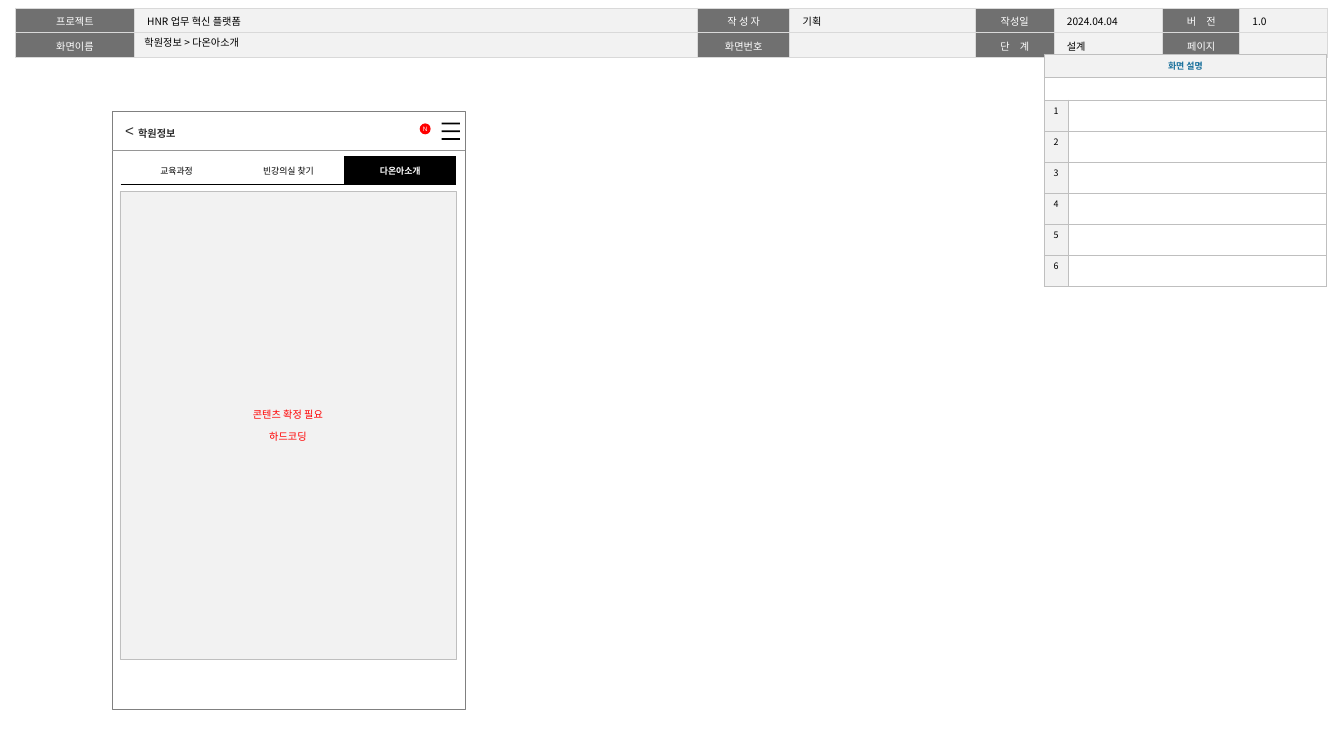
from lxml import etree
from pptx import Presentation
from pptx.dml.color import RGBColor
from pptx.enum.shapes import MSO_CONNECTOR, MSO_SHAPE
from pptx.enum.text import MSO_ANCHOR, PP_ALIGN
from pptx.oxml.ns import qn
from pptx.util import Inches, Pt

LEFT, CENTER = PP_ALIGN.LEFT, PP_ALIGN.CENTER
TOP, MIDDLE = MSO_ANCHOR.TOP, MSO_ANCHOR.MIDDLE
RECT, OVAL = MSO_SHAPE.RECTANGLE, MSO_SHAPE.OVAL
STRAIGHT = MSO_CONNECTOR.STRAIGHT
NOTO, ARIAL = "Noto Sans CJK KR", "Arial"
BLACK, WHITE, PALE, RED = "000000", "FFFFFF", "F2F2F2", "FF0000"
DARK, INK, GRAY = "707070", "2E2E2E", "BFBFBF"


def rgb(value):
    return RGBColor.from_string(value)


def write(tf, lines, size, color, font=NOTO, bold=False, align=LEFT,
          spacing=None, gap=0):
    for i, line in enumerate(lines):
        p = tf.paragraphs[0] if i == 0 else tf.add_paragraph()
        p.alignment = align
        if spacing:
            p.line_spacing = spacing
        if i:
            p.space_before = Pt(gap)
        r = p.add_run()
        r.text = line
        r.font.size, r.font.bold, r.font.name = Pt(size), bold, font
        r.font.color.rgb = rgb(color)
        etree.SubElement(r.font._element, qn("a:ea"), typeface=NOTO)


def set_frame(tf, inset_x, inset_y, anchor=TOP, wrap=True):
    tf.margin_left = tf.margin_right = Inches(inset_x)
    tf.margin_top = tf.margin_bottom = Inches(inset_y)
    tf.vertical_anchor, tf.word_wrap = anchor, wrap


def add_text(s, x, y, w, h, inset_x, text, size, color, anchor=TOP,
             wrap=True, **style):
    tf = s.shapes.add_textbox(Inches(x), Inches(y), Inches(w), Inches(h)).text_frame
    set_frame(tf, inset_x, 0.05, anchor, wrap)
    write(tf, [text], size, color, **style)


def paint(sp, fill=None, line=None, width=0.5):
    sp.shadow.inherit = False
    if fill:
        sp.fill.solid()
        sp.fill.fore_color.rgb = rgb(fill)
    else:
        sp.fill.background()
    if line:
        sp.line.color.rgb = rgb(line)
        sp.line.width = Pt(width)
    else:
        sp.line.fill.background()


def add_box(s, kind, x, y, w, h, fill=None, line=None, width=0.5):
    sp = s.shapes.add_shape(kind, Inches(x), Inches(y), Inches(w), Inches(h))
    paint(sp, fill, line, width)
    return sp


def add_grid(s, x, y, cols, rows):
    frame = s.shapes.add_table(len(rows), len(cols), Inches(x), Inches(y),
                               Inches(sum(cols)), Inches(sum(rows)))
    table = frame.table
    table.first_row = table.horz_banding = False
    for col, w in zip(table.columns, cols):
        col.width = Inches(w)
    for row, h in zip(table.rows, rows):
        row.height = Inches(h)
    return table


def set_cell(cell, text, size, color, fill, border, width, inset,
             anchor=TOP, sides="LRTB", **style):
    tc_pr = cell._tc.get_or_add_tcPr()
    for side in "LRTB":
        ln = etree.SubElement(tc_pr, qn(f"a:ln{side}"), w=str(Pt(width)))
        if side in sides:
            solid = etree.SubElement(ln, qn("a:solidFill"))
            etree.SubElement(solid, qn("a:srgbClr"), val=border)
        else:
            etree.SubElement(ln, qn("a:noFill"))
    cell.fill.solid()
    cell.fill.fore_color.rgb = rgb(fill)
    cell.margin_left = cell.margin_right = Inches(inset)
    cell.vertical_anchor = anchor
    if text:
        write(cell.text_frame, [text], size, color, **style)
    else:
        # Keep empty rows at their small text height
        p = cell.text_frame.paragraphs[0]
        etree.SubElement(p._p, qn("a:endParaRPr"), sz=str(size * 100))


def add_header(s, x, y):
    # Labels and values alternate across the columns
    cols = [1.3, 6.16, 1.01, 2.03, 0.86, 1.19, 0.84, 0.96]
    texts = [
        ["프로젝트", "HNR 업무 혁신 플랫폼", "작 성 자", "기획",
         "작성일", "2024.04.04", "버　전", "1.0"],
        ["화면이름", "", "화면번호", "", "단　계", "설계", "페이지", ""],
    ]
    table = add_grid(s, x, y, cols, [0.24] * 2)
    for i, row in enumerate(texts):
        for j, text in enumerate(row):
            label = j % 2 == 0
            set_cell(table.cell(i, j), text, 8, WHITE if label else BLACK,
                     DARK if label else PALE, "D9D9D9", 1, 0.14,
                     align=CENTER if label else LEFT, spacing=1.05)
    # Screen name
    add_text(s, x + 1.3, y + 0.29, 3.85, 0.16, 0.11, "학원정보 > 다온아소개",
             8, BLACK, anchor=MIDDLE)


def add_description(s, x, y):
    count = 6
    table = add_grid(s, x, y, [0.26, 2.83], [0.25] * 2 + [0.34] * count)
    for i in range(count + 2):
        for j in range(2):
            head, number = i == 0, i > 1 and j == 0
            text = "화면 설명" if head and j == 0 else str(i - 1) if number else ""
            set_cell(table.cell(i, j), text, 7, "176F9B" if head else BLACK,
                     PALE if head or number else WHITE, GRAY, 0.25, 0.04,
                     anchor=MIDDLE if head else TOP, bold=head, align=CENTER)
    for i in range(2):
        table.cell(i, 0).merge(table.cell(i, 1))


def add_menu_icon(s, x, y, w):
    bar, step = 0.02, 0.085
    builder = None
    for i in range(3):
        top = y + i * step
        corners = [(Inches(a), Inches(b)) for a, b in
                   [(x, top), (x, top + bar), (x + w, top + bar), (x + w, top)]]
        if builder is None:
            builder = s.shapes.build_freeform(*corners[0], scale=1.0)
        else:
            builder.move_to(*corners[0])
        builder.add_line_segments(corners[1:], close=True)
    paint(builder.convert_to_shape(), BLACK)


def add_phone(s, x, y, w, h):
    add_box(s, RECT, x, y, w, h, line="808080")

    # App bar
    rule = s.shapes.add_connector(STRAIGHT, Inches(x), Inches(y + 0.42),
                                  Inches(x + w), Inches(y + 0.42))
    rule.line.color.rgb = rgb("969696")
    rule.line.width = Pt(0.5)
    etree.SubElement(rule._element.spPr, qn("a:effectLst"))
    badge = add_box(s, OVAL, x + 3.36, y + 0.13, 0.12, 0.12, RED)
    set_frame(badge.text_frame, 0, 0, MIDDLE, False)
    write(badge.text_frame, ["N"], 5, WHITE, ARIAL, align=CENTER)
    add_text(s, x + 0.04, y + 0.06, 0.32, 0.3, 0.1, "<", 12, INK,
             wrap=False, font=ARIAL)
    add_menu_icon(s, x + 3.6, y + 0.12, 0.2)
    add_text(s, x + 0.28, y + 0.06, 1.98, 0.28, 0, "학원정보", 8, INK,
             font=ARIAL, bold=True, spacing=1.5)

    # Content area
    body = add_box(s, RECT, x + 0.08, y + 0.87, 3.68, 5.12, PALE, GRAY, 0.25)
    set_frame(body.text_frame, 0, 0, MIDDLE, False)
    write(body.text_frame, ["콘텐츠 확정 필요", "하드코딩"], 8, RED, ARIAL,
          align=CENTER, gap=8)

    # Tabs, the last one selected
    tabs = ["교육과정", "빈강의실 찾기", "다온아소개"]
    table = add_grid(s, x + 0.09, y + 0.49, [3.67 / len(tabs)] * len(tabs), [0.31])
    for j, tab in enumerate(tabs):
        on = j == len(tabs) - 1
        set_cell(table.cell(0, j), tab, 7, WHITE if on else BLACK,
                 BLACK if on else WHITE, BLACK, 1, 0.04, anchor=MIDDLE,
                 sides="B", font=ARIAL, bold=on, align=CENTER)


def main():
    prs = Presentation()
    prs.slide_width, prs.slide_height = Inches(14.7), Inches(8.27)
    s = prs.slides.add_slide(prs.slide_layouts[6])
    add_header(s, 0.17, 0.09)
    add_phone(s, 1.23, 1.22, 3.86, 6.54)
    add_description(s, 11.42, 0.59)
    prs.save("out.pptx")


if __name__ == "__main__":
    main()
